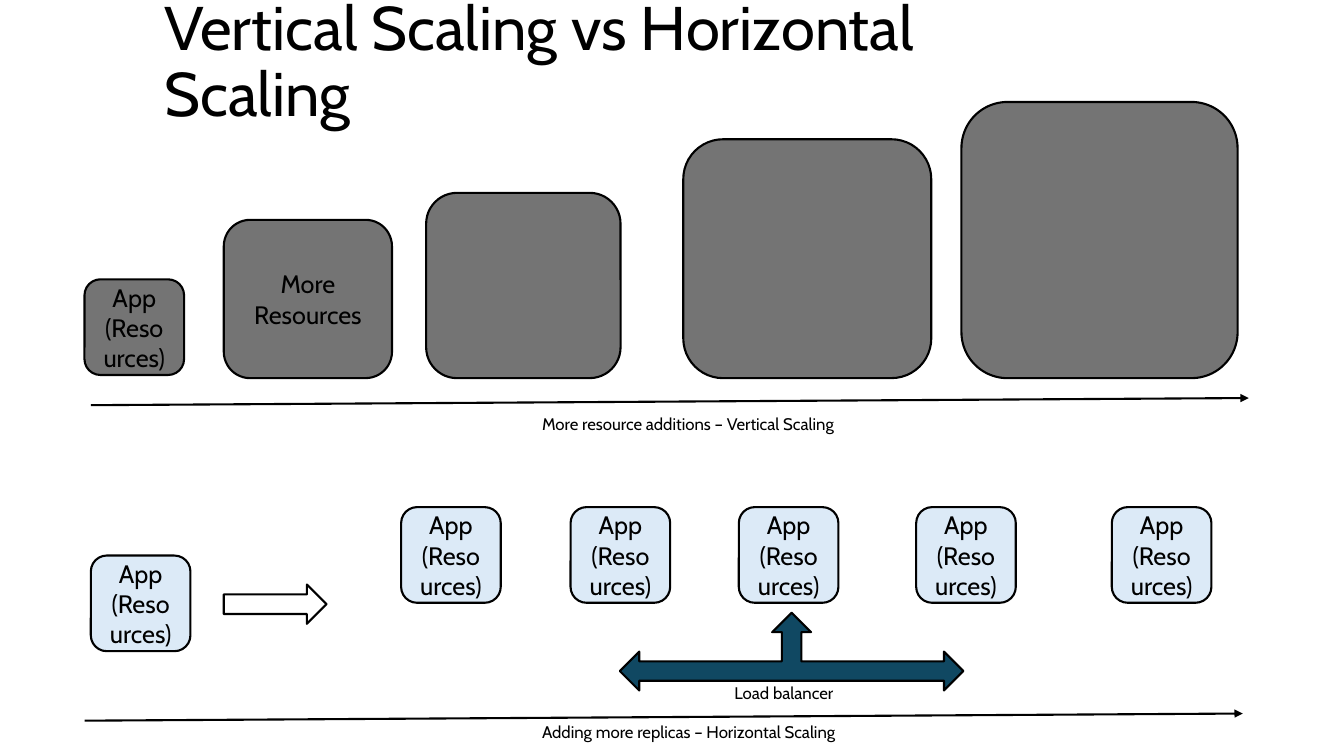
from dataclasses import dataclass

from lxml import etree
from pptx import Presentation
from pptx.dml.color import RGBColor as RGB
from pptx.enum.shapes import MSO_CONNECTOR as LINE, MSO_SHAPE as SHAPE
from pptx.enum.text import MSO_ANCHOR as ANCHOR, MSO_AUTO_SIZE as FIT, PP_ALIGN as ALIGN
from pptx.oxml.ns import qn
from pptx.util import Cm, Pt


@dataclass(frozen=True)
class Theme:
    font: str = "Cabin"
    ink: RGB = RGB(0x00, 0x00, 0x00)
    white: RGB = RGB(0xFF, 0xFF, 0xFF)
    grey: RGB = RGB(0x74, 0x74, 0x74)
    pale: RGB = RGB(0xDC, 0xEA, 0xF7)
    teal: RGB = RGB(0x10, 0x48, 0x62)
    title: Pt = Pt(44)
    body: Pt = Pt(18)
    label: Pt = Pt(12)
    line: Pt = Pt(1.5)


theme = Theme()
APP = "App (Resources)"
APP_W, APP_H = 2.51, 2.41


def write(tf, text, size, align):
    tf.word_wrap = True
    p = tf.paragraphs[0]
    p.text = text
    p.alignment = align
    p.font.name = theme.font
    p.font.size = size
    p.font.color.rgb = theme.ink
    return p


def add_block(kind, x, y, w, h, fill, text=""):
    sp = slide.shapes.add_shape(kind, Cm(x), Cm(y), Cm(w), Cm(h))
    sp.shadow.inherit = False
    sp.fill.solid()
    sp.fill.fore_color.rgb = fill
    sp.line.color.rgb = theme.ink
    sp.line.width = theme.line
    if text:
        write(sp.text_frame, text, theme.body, ALIGN.CENTER)


prs = Presentation()
prs.slide_width, prs.slide_height = Cm(33.87), Cm(19.05)
slide = prs.slides.add_slide(prs.slide_layouts[5])

title = slide.shapes.title
title.left, title.top, title.width, title.height = Cm(3.89), Cm(0.2), Cm(23.83), Cm(2.79)
tf = title.text_frame
tf.auto_size = FIT.NONE
tf.vertical_anchor = ANCHOR.MIDDLE
p = write(tf, "Vertical Scaling vs Horizontal Scaling", theme.title, ALIGN.LEFT)
p.line_spacing = 0.9

for x, bottom, w, h, text in [
    (2.13, 9.45, APP_W, APP_H, APP),
    (5.64, 9.53, 4.24, 3.99, "More Resources"),
    (10.74, 9.53, 4.9, 4.67, ""),
    (17.22, 9.53, 6.25, 6.02, ""),
    (24.23, 9.53, 6.96, 6.96, ""),
]:
    add_block(SHAPE.ROUNDED_RECTANGLE, x, bottom - h, w, h, theme.grey, text)

replicas = [(x, 12.78) for x in (10.11, 14.38, 18.62, 23.09, 28.02)]
for x, y in [(2.29, 14), *replicas]:
    add_block(SHAPE.ROUNDED_RECTANGLE, x, y, APP_W, APP_H, theme.pale, APP)

add_block(SHAPE.RIGHT_ARROW, 5.64, 14.73, 2.59, 0.99, theme.white)
add_block(SHAPE.LEFT_RIGHT_UP_ARROW, 15.62, 15.44, 8.66, 1.96, theme.teal)

for x1, y1, x2, y2 in [(2.29, 10.21, 31.47, 10.03), (2.13, 18.16, 31.32, 17.98)]:
    axis = slide.shapes.add_connector(LINE.STRAIGHT, Cm(x1), Cm(y1), Cm(x2), Cm(y2))
    axis.line.color.rgb = theme.ink
    axis.line.width = theme.line
    etree.SubElement(axis.line._get_or_add_ln(), qn("a:tailEnd"), type="triangle")
    etree.SubElement(axis._element.spPr, qn("a:effectLst"))

for x, y, w, text in [
    (13.41, 10.29, 8.28, "More resource additions – Vertical Scaling"),
    (18.26, 17.07, 3.35, "Load balancer"),
    (13.41, 18.06, 8.28, "Adding more replicas – Horizontal Scaling"),
]:
    box = slide.shapes.add_textbox(Cm(x), Cm(y), Cm(w), Cm(0.77))
    box.text_frame.auto_size = FIT.SHAPE_TO_FIT_TEXT
    write(box.text_frame, text, theme.label, ALIGN.LEFT)

prs.save("out.pptx")
